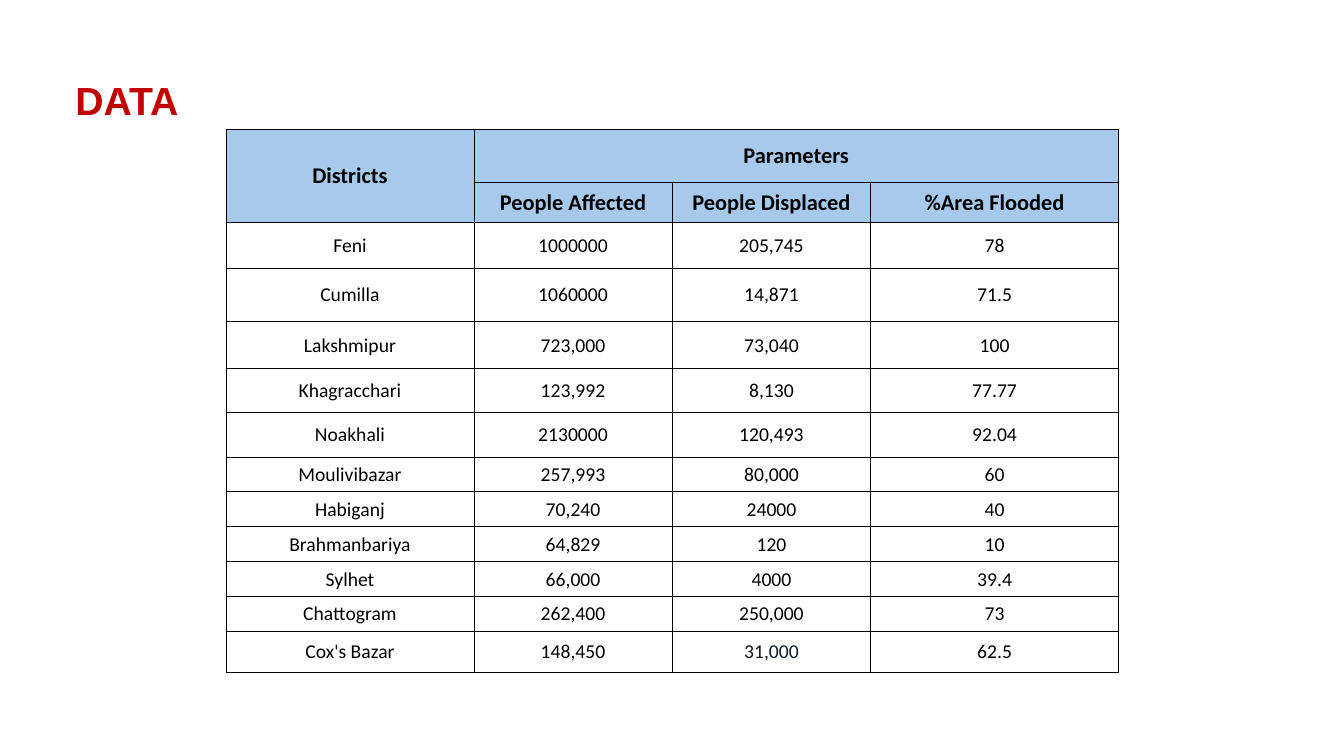
from lxml import etree
from pptx import Presentation
from pptx.dml.color import RGBColor
from pptx.enum import text
from pptx.oxml import ns
from pptx.util import Pt

COLORS = {"title": "C00000", "header": "A6C9EC", "body": "FFFFFF",
          "ink": "000000", "navy": "101828"}

TITLE_FONT = {"name": "Arial", "size": Pt(28), "bold": True}
HEADER_FONT = {"name": "Calibri", "size": Pt(16), "bold": True}
BODY_FONT = {"name": "Calibri", "size": Pt(14), "bold": False}
CELL_FORMAT = {"margin_left": Pt(0.72), "margin_right": Pt(0.72),
               "margin_top": Pt(0.72), "margin_bottom": 0,
               "vertical_anchor": text.MSO_ANCHOR.MIDDLE}

HEADERS = [
    ("Districts", "Parameters", "", ""),
    ("", "People Affected", "People Displaced", "%Area Flooded"),
]
DISTRICTS = [
    ("Feni", "1000000", "205,745", "78"),
    ("Cumilla", "1060000", "14,871", "71.5"),
    ("Lakshmipur", "723,000", "73,040", "100"),
    ("Khagracchari", "123,992", "8,130", "77.77"),
    ("Noakhali", "2130000", "120,493", "92.04"),
    ("Moulivibazar", "257,993", "80,000", "60"),
    ("Habiganj", "70,240", "24000", "40"),
    ("Brahmanbariya", "64,829", "120", "10"),
    ("Sylhet", "66,000", "4000", "39.4"),
    ("Chattogram", "262,400", "250,000", "73"),
    ("Cox's Bazar", "148,450", "31,000", "62.5"),
]
COLUMN_WIDTHS = [177.1, 141.8, 141.8, 177.1]
ROW_HEIGHTS = [37.9, 28.6, 32.9, 37.9, 34, 30.8, 32.2] + [24.9] * 5 + [29.4]


def apply(target, values):
    for attribute, value in values.items():
        setattr(target, attribute, value)


def write(paragraph, words, font, color):
    run = paragraph.add_run()
    run.text = words
    apply(run.font, font)
    run.font.color.rgb = RGBColor.from_string(COLORS[color])


def add_borders(cell):
    properties = cell._tc.get_or_add_tcPr()
    for position, side in enumerate(("lnL", "lnR", "lnT", "lnB")):
        line = etree.Element(ns.qn("a:" + side), w=str(Pt(0.5)))
        fill = etree.SubElement(line, ns.qn("a:solidFill"))
        etree.SubElement(fill, ns.qn("a:srgbClr"), val=COLORS["ink"])
        properties.insert(position, line)


def add_title(slide, left, top, width, height):
    title = slide.shapes.add_textbox(Pt(left), Pt(top), Pt(width), Pt(height))
    apply(title.text_frame, {"word_wrap": False,
                             "auto_size": text.MSO_AUTO_SIZE.SHAPE_TO_FIT_TEXT})
    write(title.text_frame.paragraphs[0], "DATA", TITLE_FONT, "title")


def add_flood_table(slide, left, top, width, height):
    records = HEADERS + DISTRICTS
    frame = slide.shapes.add_table(len(records), len(COLUMN_WIDTHS),
                                   Pt(left), Pt(top), Pt(width), Pt(height))
    flood = frame.table
    apply(flood, {"first_row": False, "horz_banding": False})

    # Column and row sizes, shared out over the box
    for column, share in zip(flood.columns, COLUMN_WIDTHS):
        column.width = Pt(width * share / sum(COLUMN_WIDTHS))
    for row, share in zip(flood.rows, ROW_HEIGHTS):
        row.height = Pt(height * share / sum(ROW_HEIGHTS))

    # Header spans
    flood.cell(0, 0).merge(flood.cell(1, 0))
    flood.cell(0, 1).merge(flood.cell(0, 3))

    # Cells
    for r, record in enumerate(records):
        is_header = r < len(HEADERS)
        for c, words in enumerate(record):
            cell = flood.cell(r, c)
            apply(cell, CELL_FORMAT)
            if is_header or (c > 0 and r < len(records) - 2):
                cell.fill.solid()
                shade = COLORS["header" if is_header else "body"]
                cell.fill.fore_color.rgb = RGBColor.from_string(shade)
            else:
                cell.fill.background()
            add_borders(cell)
            if words:
                paragraph = cell.text_frame.paragraphs[0]
                paragraph.alignment = text.PP_ALIGN.CENTER
                write(paragraph, words, HEADER_FONT if is_header else BODY_FONT,
                      "navy" if words == "31,000" else "ink")


def main():
    deck = Presentation()
    apply(deck, {"slide_width": Pt(960), "slide_height": Pt(540)})
    slide = deck.slides.add_slide(deck.slide_layouts[6])
    add_title(slide, 46.8, 51.1, 90.7, 41)
    add_flood_table(slide, 161.5, 92.2, 637.5, 388.1)
    deck.save("out.pptx")


if __name__ == "__main__":
    main()
